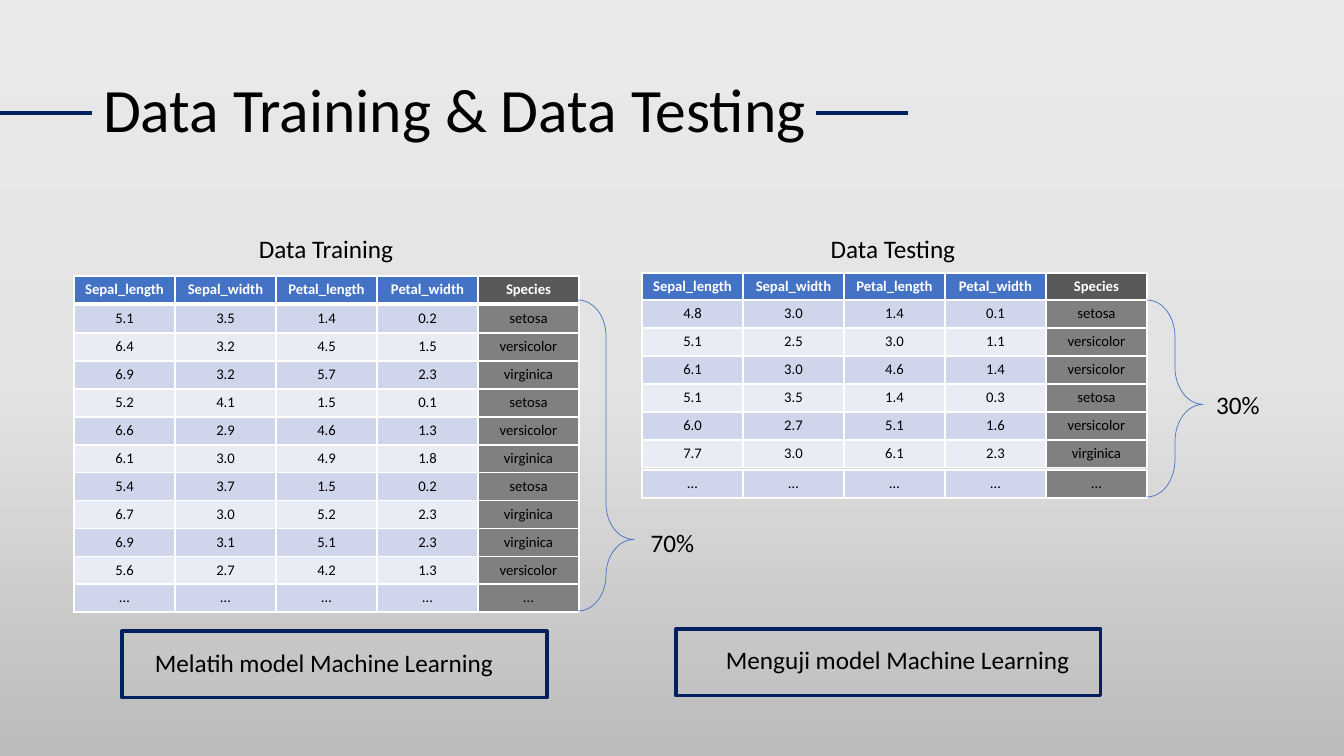
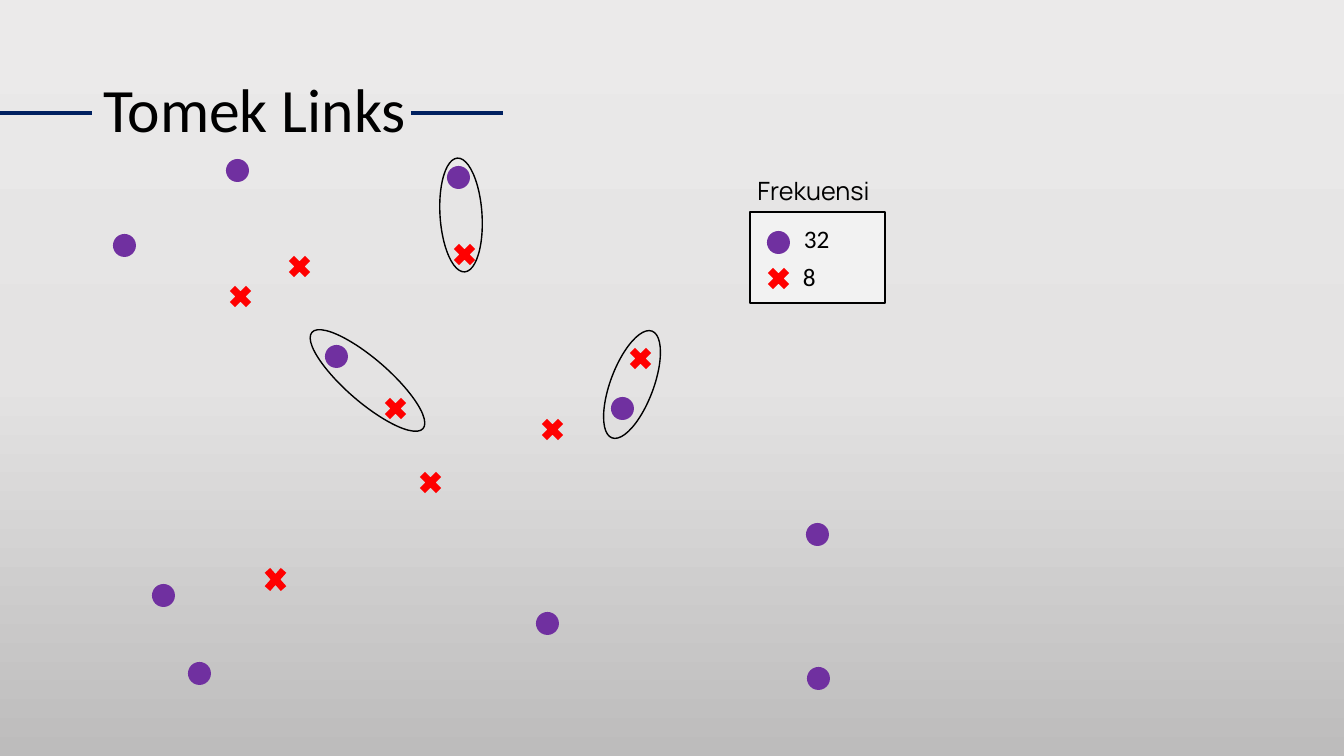
from copy import deepcopy
from dataclasses import dataclass
from typing import Optional

from lxml import etree
from pptx import Presentation
from pptx.dml.color import RGBColor
from pptx.enum.shapes import MSO_CONNECTOR, MSO_SHAPE
from pptx.enum.text import MSO_ANCHOR, MSO_AUTO_SIZE, PP_ALIGN
from pptx.oxml.ns import qn
from pptx.util import Emu, Pt

STRAIGHT = MSO_CONNECTOR.STRAIGHT
OVAL = MSO_SHAPE.OVAL
CROSS = MSO_SHAPE.MATH_MULTIPLY
RECTANGLE = MSO_SHAPE.RECTANGLE
RIGHT_BRACE = MSO_SHAPE.RIGHT_BRACE
MIDDLE = MSO_ANCHOR.MIDDLE
NO_AUTOFIT = MSO_AUTO_SIZE.NONE
GROW = MSO_AUTO_SIZE.SHAPE_TO_FIT_TEXT
LEFT = PP_ALIGN.LEFT
CENTER = PP_ALIGN.CENTER

SLIDE_WIDTH, SLIDE_HEIGHT = 1344, 756
EMU_PER_PX = 12192000 / SLIDE_WIDTH
TITLE_ONLY = 5
FONT = "Calibri"
ROW_HEIGHT = 28
COLUMN_WIDTH = 101
RULE_Y, RULE_LENGTH = 113, 92

COLORS = {
    "background_top": "EBEAEA",
    "background_middle": "E4E3E3",
    "background_bottom": "BDBCBC",
    "black": "000000",
    "white": "FFFFFF",
    "navy": "002060",
    "blue": "4472C4",
    "band_dark": "CFD5EA",
    "band_light": "E9EBF5",
    "species": "808080",
    "species_header": "595959",
    "legend": "F2F2F2",
    "majority": "7030A0",
    "minority": "FF0000",
}

HEADER = ["Sepal_length", "Sepal_width", "Petal_length", "Petal_width", "Species"]
ELLIPSIS_ROW = ["…"] * len(HEADER)

TRAINING_ROWS = [
    ["5.1", "3.5", "1.4", "0.2", "setosa"],
    ["6.4", "3.2", "4.5", "1.5", "versicolor"],
    ["6.9", "3.2", "5.7", "2.3", "virginica"],
    ["5.2", "4.1", "1.5", "0.1", "setosa"],
    ["6.6", "2.9", "4.6", "1.3", "versicolor"],
    ["6.1", "3.0", "4.9", "1.8", "virginica"],
    ["5.4", "3.7", "1.5", "0.2", "setosa"],
    ["6.7", "3.0", "5.2", "2.3", "virginica"],
    ["6.9", "3.1", "5.1", "2.3", "virginica"],
    ["5.6", "2.7", "4.2", "1.3", "versicolor"],
]
TESTING_ROWS = [
    ["4.8", "3.0", "1.4", "0.1", "setosa"],
    ["5.1", "2.5", "3.0", "1.1", "versicolor"],
    ["6.1", "3.0", "4.6", "1.4", "versicolor"],
    ["5.1", "3.5", "1.4", "0.3", "setosa"],
    ["6.0", "2.7", "5.1", "1.6", "versicolor"],
    ["7.7", "3.0", "6.1", "2.3", "virginica"],
]


@dataclass
class TableBlock:
    left: int
    top: int
    rows: list[list[str]]
    header: bool = False


@dataclass
class Label:
    text: str
    left: int
    top: int
    width: int
    align: PP_ALIGN = CENTER
    font: str = FONT
    wrap: bool = True


@dataclass
class Figure:
    kind: MSO_SHAPE
    left: int
    top: int
    width: int
    height: int
    fill: Optional[str] = None
    line: Optional[str] = None
    line_width: float = 1
    rotation: float = 0
    adjustments: tuple[float, ...] = ()


TABLES = [
    TableBlock(74, 276, [HEADER], True),
    TableBlock(74, 305, TRAINING_ROWS),
    TableBlock(74, 584, [ELLIPSIS_ROW]),
    TableBlock(642, 273, [HEADER], True),
    TableBlock(642, 300, TESTING_ROWS),
    TableBlock(642, 470, [ELLIPSIS_ROW]),
]
SPLIT_LABELS = [
    Label("Data Training", 210, 228, 232),
    Label("Data Testing", 777, 228, 232),
    Label("70%", 605, 522, 135),
    Label("30%", 1204, 384, 68),
    Label("Melatih model Machine Learning", 145, 642, 363, LEFT, wrap=False),
    Label("Menguji model Machine Learning", 716, 639, 368, LEFT, wrap=False),
]
SPLIT_FIGURES = [
    Figure(RIGHT_BRACE, 578, 300, 56, 311, None, "blue", 0.5, adjustments=(0.66, 0.77)),
    Figure(RIGHT_BRACE, 1147, 300, 56, 197, None, "blue", 0.5, adjustments=(0.66, 0.53)),
    Figure(RECTANGLE, 122, 631, 425, 67, None, "navy", 2.25),
    Figure(RECTANGLE, 676, 629, 425, 67, None, "navy", 2.25),
]
LEGEND_BOX = Figure(RECTANGLE, 750, 212, 135, 91, "legend", "black")
LEGEND_LABELS = [
    Label("Frekuensi", 742, 170, 143, font="Manrope"),
    Label("32", 794, 218, 71, LEFT),
    Label("8", 793, 256, 71, LEFT),
]
MAJORITY_CENTERS = [
    (778, 242), (237, 170), (124, 245), (458, 177), (336, 356), (622, 408),
    (817, 534), (163, 595), (547, 623), (199, 673), (818, 678),
]
MINORITY_CENTERS = [
    (778, 278), (395, 408), (299, 266), (640, 358), (464, 254),
    (430, 482), (552, 429), (240, 296),
]
TALL_MINORITY_CENTER = (275, 579)
LINK_LOOPS = [
    ((367, 380), 147, 43, 40.9),
    ((632, 384), 114, 43, 110.6),
    ((461, 215), 114, 42, 86.3),
]


def px(value: float) -> Emu:
    return Emu(round(value * EMU_PER_PX))


def rgb(name: str) -> RGBColor:
    return RGBColor.from_string(COLORS[name])


def format_text(paragraph, size: float, align: PP_ALIGN, color: str = "black",
                font: str = FONT, bold: bool = False) -> None:
    paragraph.alignment = align
    for run in paragraph.runs:
        run.font.size = Pt(size)
        run.font.name = font
        run.font.bold = bold
        run.font.color.rgb = rgb(color)


def set_background(master) -> None:
    fill = master.background.fill
    fill.gradient()
    fill.gradient_angle = 270
    stop_list = master.element.find(".//" + qn("a:gsLst"))
    stop_list.append(deepcopy(stop_list[-1]))
    names = ("background_top", "background_middle", "background_bottom")
    for index, (stop, name) in enumerate(zip(fill.gradient_stops, names)):
        stop.position = index / 2
        stop.color.rgb = rgb(name)


def add_rule(slide, left: int) -> None:
    rule = slide.shapes.add_connector(
        STRAIGHT, px(left), px(RULE_Y), px(left + RULE_LENGTH), px(RULE_Y))
    rule.line.color.rgb = rgb("navy")
    rule.line.width = Pt(3)
    etree.SubElement(rule.element.spPr, qn("a:effectLst"))


def add_titled_slide(presentation, title: str, right_rule: int):
    slide = presentation.slides.add_slide(presentation.slide_layouts[TITLE_ONLY])
    shape = slide.shapes.title
    shape.left, shape.top, shape.width, shape.height = px(93), px(40), px(1159), px(146)
    frame = shape.text_frame
    frame.text = title
    frame.word_wrap = True
    frame.auto_size = NO_AUTOFIT
    frame.vertical_anchor = MIDDLE
    frame.paragraphs[0].line_spacing = 0.9
    format_text(frame.paragraphs[0], 44, LEFT)
    for left in (0, right_rule):
        add_rule(slide, left)
    return slide


def add_label(slide, label: Label) -> None:
    box = slide.shapes.add_textbox(px(label.left), px(label.top), px(label.width), px(40))
    frame = box.text_frame
    frame.text = label.text
    frame.word_wrap = label.wrap
    frame.auto_size = GROW
    format_text(frame.paragraphs[0], 18, label.align, font=label.font)


def add_figure(slide, figure: Figure) -> None:
    shape = slide.shapes.add_shape(
        figure.kind, px(figure.left), px(figure.top), px(figure.width), px(figure.height))
    shape.shadow.inherit = False
    shape.rotation = figure.rotation
    for index, value in enumerate(figure.adjustments):
        shape.adjustments[index] = value
    if figure.fill:
        shape.fill.solid()
        shape.fill.fore_color.rgb = rgb(figure.fill)
    else:
        shape.fill.background()
    if figure.line:
        shape.line.color.rgb = rgb(figure.line)
        shape.line.width = Pt(figure.line_width)
    else:
        shape.line.fill.background()


def centered(kind: MSO_SHAPE, center: tuple[int, int], width: int, height: int,
             fill: Optional[str] = None, line: Optional[str] = None,
             rotation: float = 0) -> Figure:
    left, top = center[0] - width // 2, center[1] - height // 2
    return Figure(kind, left, top, width, height, fill, line, rotation=rotation)


def set_borders(cell, bottom_width: float) -> None:
    properties = cell._tc.get_or_add_tcPr()
    for side, width in (("L", 1), ("R", 1), ("T", 1), ("B", bottom_width)):
        border = etree.SubElement(properties, qn(f"a:ln{side}"), w=str(Pt(width)))
        fill = etree.SubElement(border, qn("a:solidFill"))
        etree.SubElement(fill, qn("a:srgbClr"), val=COLORS["white"])


def cell_fill(block: TableBlock, row: int, column: int) -> str:
    if column == len(HEADER) - 1:
        return "species_header" if block.header else "species"
    if block.header:
        return "blue"
    return "band_light" if row % 2 else "band_dark"


def add_data_table(slide, block: TableBlock) -> None:
    row_count, column_count = len(block.rows), len(HEADER)
    table = slide.shapes.add_table(
        row_count, column_count, px(block.left), px(block.top),
        px(COLUMN_WIDTH * column_count), px(ROW_HEIGHT * row_count)).table
    table.first_row = block.header
    table.horz_banding = False
    for row, values in enumerate(block.rows):
        for column, value in enumerate(values):
            cell = table.cell(row, column)
            cell.text_frame.text = value
            format_text(cell.text_frame.paragraphs[0], 10.5, CENTER,
                        "white" if block.header else "black", bold=block.header)
            set_borders(cell, 3 if block.header else 1)
            cell.fill.solid()
            cell.fill.fore_color.rgb = rgb(cell_fill(block, row, column))


def build_split_slide(presentation) -> None:
    slide = add_titled_slide(presentation, "Data Training & Data Testing", 816)
    for block in TABLES:
        add_data_table(slide, block)
    for label in SPLIT_LABELS:
        add_label(slide, label)
    for figure in SPLIT_FIGURES:
        add_figure(slide, figure)


def build_tomek_slide(presentation) -> None:
    slide = add_titled_slide(presentation, "Tomek Links", 411)
    figures = [LEGEND_BOX]
    figures += [centered(OVAL, center, 23, 23, "majority") for center in MAJORITY_CENTERS]
    figures += [centered(CROSS, center, 31, 31, "minority") for center in MINORITY_CENTERS]
    figures.append(centered(CROSS, TALL_MINORITY_CENTER, 31, 35, "minority"))
    figures += [centered(OVAL, center, width, height, line="black", rotation=rotation)
                for center, width, height, rotation in LINK_LOOPS]
    for figure in figures:
        add_figure(slide, figure)
    for label in LEGEND_LABELS:
        add_label(slide, label)


def main() -> None:
    presentation = Presentation()
    presentation.slide_width = px(SLIDE_WIDTH)
    presentation.slide_height = px(SLIDE_HEIGHT)
    set_background(presentation.slide_master)
    build_split_slide(presentation)
    build_tomek_slide(presentation)
    presentation.save("out.pptx")


if __name__ == "__main__":
    main()
